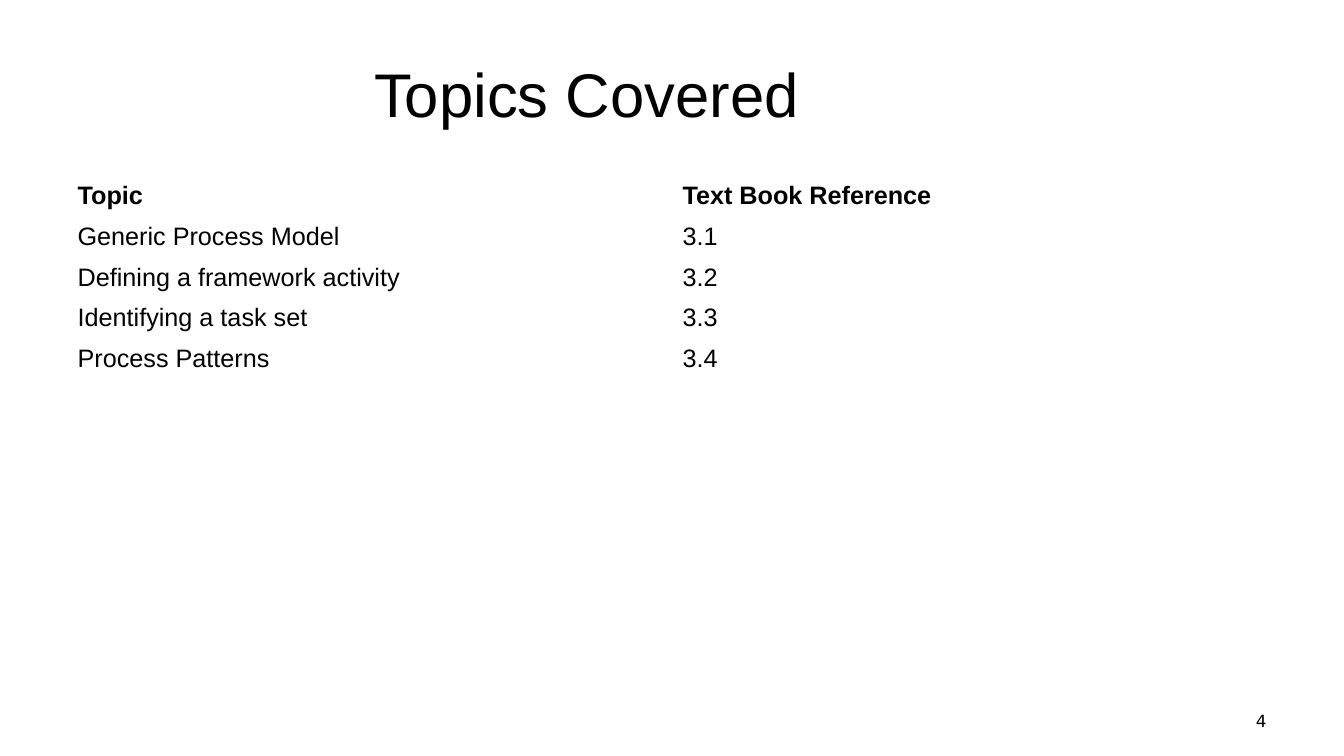
from dataclasses import dataclass

from lxml.etree import SubElement
from pptx import Presentation
from pptx.dml.color import RGBColor
from pptx.enum.text import MSO_ANCHOR, MSO_AUTO_SIZE, PP_ALIGN
from pptx.oxml.ns import qn
from pptx.util import Inches, Pt


@dataclass(frozen=True)
class Theme:
    ink: RGBColor = RGBColor(0, 0, 0)
    font: str = "Arial"
    number_font: str = "DejaVu Sans"
    title_size: int = 44
    table_size: int = 18
    number_size: int = 12


theme = Theme()


def style_runs(para, size, font=theme.font, bold=False):
    for span in para.runs:
        span.font.name = font
        span.font.size = Pt(size)
        span.font.bold = bold
        span.font.color.rgb = theme.ink


# Slide
deck = Presentation()
deck.slide_width, deck.slide_height = Inches(13.33), Inches(7.5)
page = deck.slides.add_slide(deck.slide_layouts[5])

# Title, with a tab stop that moves the centred words to the left
title = page.shapes.title
title.left, title.top = Inches(0.67), Inches(0.3)
title.width, title.height = Inches(11.08), Inches(1.25)
title.text_frame.text = "Topics Covered\t"
title.text_frame.auto_size = MSO_AUTO_SIZE.NONE
title.text_frame.vertical_anchor = MSO_ANCHOR.MIDDLE
title_para = title.text_frame.paragraphs[0]
title_para.alignment = PP_ALIGN.CENTER
tab_list = SubElement(title_para._p.get_or_add_pPr(), qn("a:tabLst"))
SubElement(tab_list, qn("a:tab"), pos=str(Inches(5)), algn="l")
style_runs(title_para, theme.title_size)

# Slide number
number_box = page.shapes.add_textbox(Inches(9.55), Inches(6.95), Inches(3.11), Inches(0.4))
number_box.text_frame.word_wrap = True
number_box.text_frame.vertical_anchor = MSO_ANCHOR.MIDDLE
number_para = number_box.text_frame.paragraphs[0]
number_para.text = "4"
number_para.alignment = PP_ALIGN.RIGHT
style_runs(number_para, theme.number_size, theme.number_font)

# Topics table, with four spare rows at the end
topics = [
    ("Topic", "Text Book Reference"),
    ("Generic Process Model", "3.1"),
    ("Defining a framework activity", "3.2"),
    ("Identifying a task set", "3.3"),
    ("Process Patterns", "3.4"),
] + [("", "")] * 4
table = page.shapes.add_table(
    len(topics), 2, Inches(0.67), Inches(1.75), Inches(12), Inches(3.65)
).table
table.first_row = False
table.horz_banding = False
for row_index, entries in enumerate(topics):
    for column_index, entry in enumerate(entries):
        cell = table.cell(row_index, column_index)
        cell.fill.background()
        cell.text_frame.text = entry
        style_runs(cell.text_frame.paragraphs[0], theme.table_size, bold=row_index == 0)

deck.save("out.pptx")
